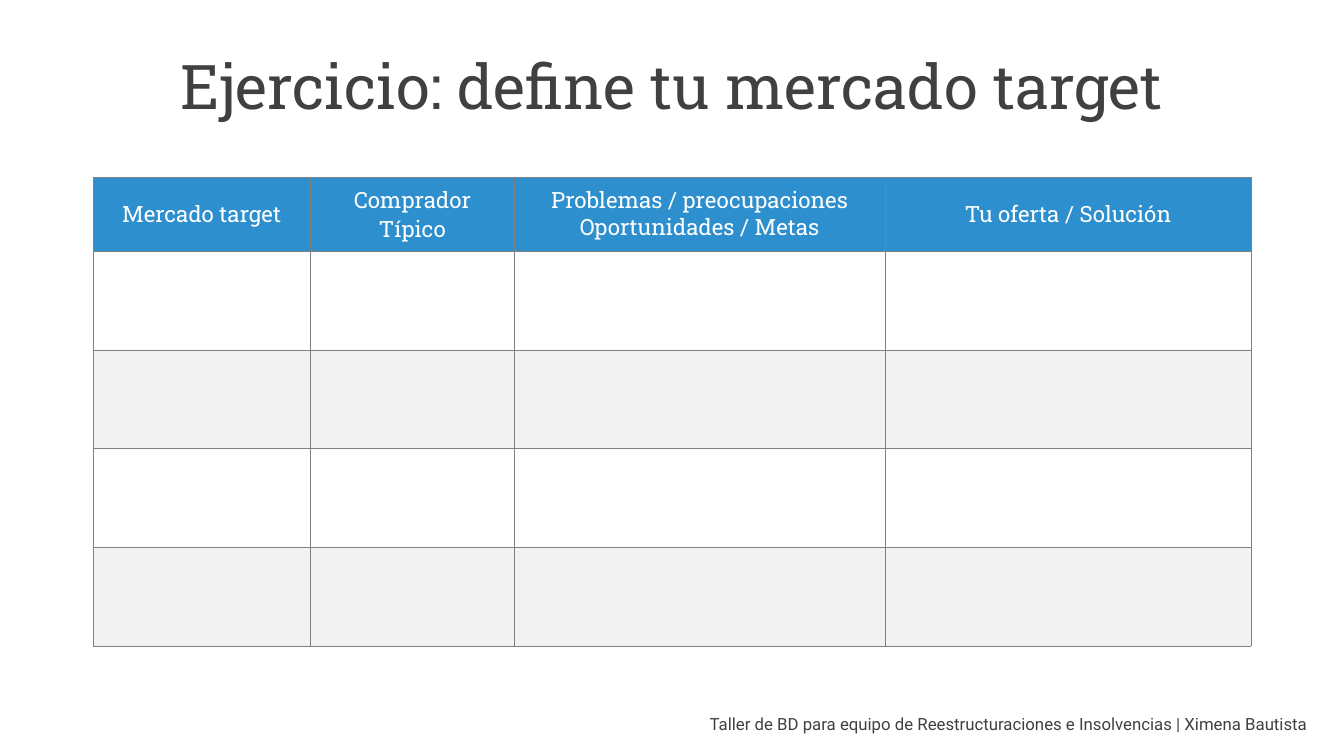
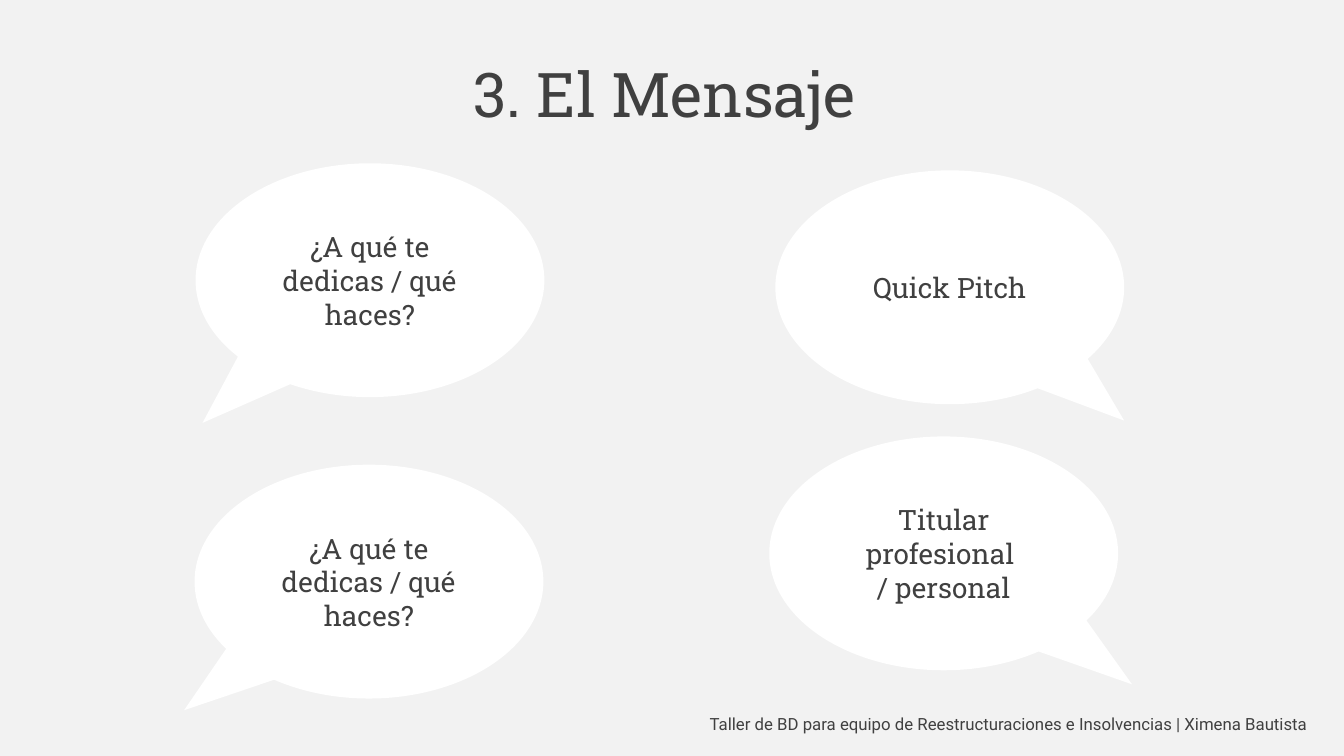
import pptx
import pptx.dml.color
import pptx.enum.shapes
import pptx.enum.text
import pptx.oxml
import pptx.oxml.ns
import pptx.util

Inches = pptx.util.Inches
Pt = pptx.util.Pt
ALIGN = pptx.enum.text.PP_ALIGN
MIDDLE = pptx.enum.text.MSO_ANCHOR.MIDDLE

# Shared style
TEXT, WHITE, GRAY, BLUE, BORDER = "404040", "FFFFFF", "F2F2F2", "2E8FCE", "808080"
SLAB, SANS = "Roboto Slab", "Roboto"
FOOTER = "Taller de BD para equipo de Reestructuraciones e Insolvencias | Ximena Bautista"


def paint(fill, color):
    fill.solid()
    fill.fore_color.rgb = pptx.dml.color.RGBColor.from_string(color)


def write(frame, text, size, font=SLAB, color=TEXT, align=ALIGN.CENTER, spacing=1.0):
    frame.text = text
    frame.word_wrap = True
    for para in frame.paragraphs:
        para.alignment = align
        para.line_spacing = spacing
        for span in para.runs:
            span.font.size = Pt(size)
            span.font.name = font
            paint(span.font.fill, color)


deck = pptx.Presentation()
deck.slide_width, deck.slide_height = Inches(13.33), Inches(7.5)

# Background, title and footer of every slide
pages = []
for title, top, height, background in [
    ("Ejercicio: define tu mercado target", 0.41, 0.96, WHITE),
    ("3. El Mensaje ", 0.37, 1.2, GRAY),
]:
    page = deck.slides.add_slide(deck.slide_layouts.get_by_name("Title Only"))
    paint(page.background.fill, background)

    heading = page.shapes.title
    heading.left, heading.top = Inches(0.92), Inches(top)
    heading.width, heading.height = Inches(11.5), Inches(height)
    write(heading.text_frame, title, 44, spacing=0.9)
    heading.text_frame.vertical_anchor = MIDDLE
    heading.text_frame.auto_size = pptx.enum.text.MSO_AUTO_SIZE.NONE

    footer = page.shapes.add_textbox(Inches(4.94), Inches(7.03), Inches(8.13), Inches(0.3))
    write(footer.text_frame, FOOTER, 12, font=SANS, align=ALIGN.RIGHT)
    pages.append(page)

exercise_page, message_page = pages

# Target market table
headers = [
    "Mercado target",
    "Comprador Típico",
    "Problemas / preocupaciones\nOportunidades / Metas",
    "Tu oferta / Solución",
]
column_widths = [2.16, 2.02, 3.68, 3.63]
row_heights = [0.73] + [0.98] * 4
table = exercise_page.shapes.add_table(
    len(row_heights), len(headers), Inches(0.92), Inches(1.76),
    Inches(sum(column_widths)), Inches(sum(row_heights)),
).table
for column, width in zip(table.columns, column_widths):
    column.width = Inches(width)

for row_index, (row, height) in enumerate(zip(table.rows, row_heights)):
    row.height = Inches(height)
    for column_index, cell in enumerate(row.cells):
        # Borders come before the fill in the cell properties
        properties = cell._tc.get_or_add_tcPr()
        for side in "LRTB":
            at_header = (row_index, side) in [(0, "B"), (1, "T")]
            line_width = Pt(0.75 if at_header else 0.25)
            properties.append(pptx.oxml.parse_xml(
                f'<a:ln{side} {pptx.oxml.ns.nsdecls("a")} w="{line_width}"><a:solidFill>'
                f'<a:srgbClr val="{BORDER}"/></a:solidFill></a:ln{side}>'
            ))
        if row_index == 0:
            paint(cell.fill, BLUE)
            text = headers[column_index]
            write(cell.text_frame, text, 16, color=WHITE, spacing=0.9 if "\n" in text else 1.0)
            cell.vertical_anchor = MIDDLE
        else:
            paint(cell.fill, WHITE if row_index % 2 else GRAY)

# Speech bubbles: text, left, top, tail position
bubbles = [
    ("¿A qué te dedicas / qué haces?", 1.94, 1.62, (-0.48, 0.61)),
    ("¿A qué te dedicas / qué haces?", 1.93, 4.61, (-0.53, 0.55)),
    ("Quick Pitch", 7.69, 1.69, (0.5, 0.57)),
    ("Titular profesional \n/ personal", 7.63, 4.33, (0.54, 0.56)),
]
for text, left, top, tail in bubbles:
    bubble = message_page.shapes.add_shape(
        pptx.enum.shapes.MSO_SHAPE.OVAL_CALLOUT,
        Inches(left), Inches(top), Inches(3.46), Inches(2.32),
    )
    bubble.adjustments[0], bubble.adjustments[1] = tail
    bubble.shadow.inherit = False
    paint(bubble.fill, WHITE)
    bubble.line.fill.background()
    write(bubble.text_frame, text, 20)
    bubble.text_frame.vertical_anchor = MIDDLE

deck.save("out.pptx")
